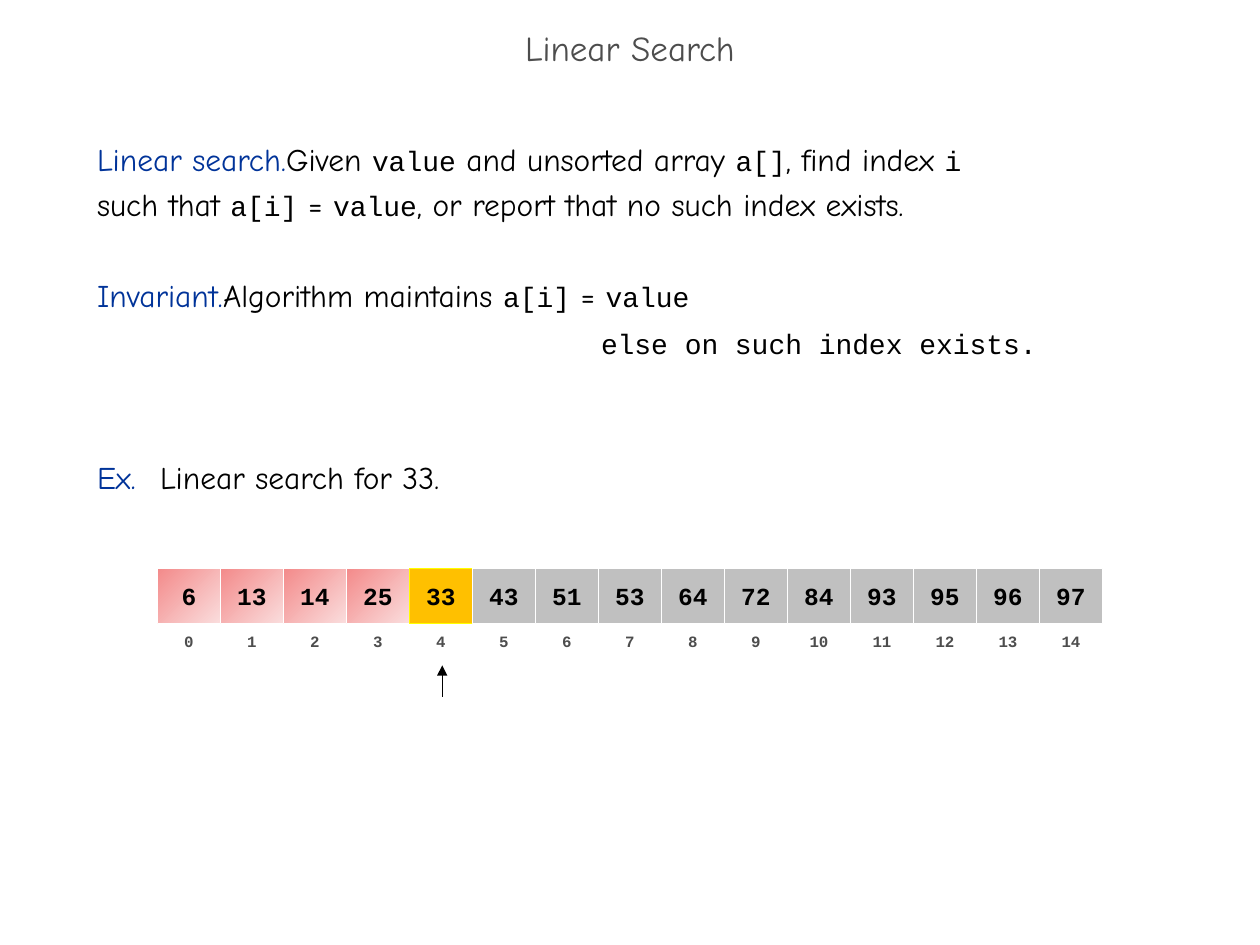
from dataclasses import dataclass

from lxml import etree
from pptx import Presentation
from pptx import util as u
from pptx.dml.color import RGBColor
from pptx.enum import shapes, text
from pptx.oxml import ns


@dataclass(frozen=True)
class Theme:
    text_font: str = "Comic Neue"
    code_font: str = "Courier New"
    black: str = "000000"
    white: str = "FFFFFF"
    grey: str = "4D4D4D"
    blue: str = "003399"
    cell: str = "C0C0C0"
    found: str = "FFC000"
    found_line: str = "FFFF00"
    visited: tuple = ("F38A8A", "FADDDD")
    title_size: int = 20
    body_size: int = 18
    code_size: int = 16
    cell_size: int = 14
    index_size: int = 9
    leading: int = 26
    line_width: float = 0.75


def rgb(value):
    return RGBColor.from_string(value)


def style_run(r, font, size, color, bold=False):
    r.font.name, r.font.size, r.font.bold = font, u.Pt(size), bold
    r.font.color.rgb = rgb(color)


def place(sp, left, top, width, height):
    sp.left, sp.top = u.Inches(left), u.Inches(top)
    sp.width, sp.height = u.Inches(width), u.Inches(height)


class SlideBuilder:
    def __init__(self, slide, theme):
        self.s, self.t = slide, theme
        self.body_tf = None

    def title(self, words, *box):
        sp = self.s.shapes.title
        place(sp, *box)
        tf = sp.text_frame
        tf.text = words
        tf.vertical_anchor = text.MSO_ANCHOR.MIDDLE
        p = tf.paragraphs[0]
        p.alignment, p.line_spacing = text.PP_ALIGN.CENTER, 0.7
        style_run(p.runs[0], self.t.text_font, self.t.title_size, self.t.grey)

    def body(self, *box):
        sp = self.s.placeholders[1]
        place(sp, *box)
        self.body_tf = sp.text_frame
        self.body_tf.auto_size = text.MSO_AUTO_SIZE.NONE

    def paragraph(self, lines, label="", tab=0, indent=0, lines_before=0):
        """Add a body paragraph; odd pieces of each line are set as code."""
        t, tf = self.t, self.body_tf
        p = tf.paragraphs[0] if not tf.text else tf.add_paragraph()
        p.line_spacing = u.Pt(t.leading)
        p.space_before = u.Pt(t.leading * lines_before)
        pPr = p._p.get_or_add_pPr()
        pPr.set("marL", str(u.Inches(indent)))
        pPr.set("indent", "0")
        etree.SubElement(pPr, ns.qn("a:buNone"))
        if label:
            stops = etree.SubElement(pPr, ns.qn("a:tabLst"))
            etree.SubElement(stops, ns.qn("a:tab"), pos=str(u.Inches(tab)), algn="l")
            r = p.add_run()
            r.text = label + "\t"
            style_run(r, t.text_font, t.body_size, t.blue)
        for number, line in enumerate(lines):
            if number:
                p.add_line_break()
            for i, piece in enumerate(line):
                if piece:
                    r = p.add_run()
                    r.text = piece
                    font, size = ((t.code_font, t.code_size) if i % 2
                                  else (t.text_font, t.body_size))
                    style_run(r, font, size, t.black)

    def box(self, group, words, bounds, size, color, fill=None, line=None):
        """Add a boxed number; a pair of fill colours makes a gradient."""
        sp = group.shapes.add_shape(shapes.MSO_SHAPE.RECTANGLE,
                                    *map(u.Inches, bounds))
        sp.shadow.inherit = False
        if fill is None:
            sp.fill.background()
        elif isinstance(fill, tuple):
            sp.fill.gradient()
            sp.fill.gradient_angle = 315
            for stop, value in zip(sp.fill.gradient_stops, fill):
                stop.color.rgb = rgb(value)
        else:
            sp.fill.solid()
            sp.fill.fore_color.rgb = rgb(fill)
        sp.line.color.rgb = rgb(line or self.t.white)
        sp.line.width = u.Pt(self.t.line_width)
        tf = sp.text_frame
        tf.text, tf.word_wrap = words, False
        tf.vertical_anchor = text.MSO_ANCHOR.MIDDLE
        p = tf.paragraphs[0]
        p.alignment = text.PP_ALIGN.CENTER
        style_run(p.runs[0], self.t.code_font, size, color, bold=True)

    def array(self, values, found, left, top, width):
        t = self.t
        group = self.s.shapes.add_group_shape()
        for i, value in enumerate(values):
            x = left + i * width
            fill = t.visited if i < found else t.found if i == found else t.cell
            line = t.found_line if i == found else t.white
            self.box(group, str(i), (x, top + 0.48, width, 0.2),
                     t.index_size, t.grey)
            self.box(group, str(value), (x, top, width, 0.44),
                     t.cell_size, t.black, fill, line)

    def arrow(self, *ends):
        c = self.s.shapes.add_connector(shapes.MSO_CONNECTOR.STRAIGHT,
                                        *map(u.Inches, ends))
        c.line.color.rgb = rgb(self.t.black)
        c.line.width = u.Pt(self.t.line_width)
        etree.SubElement(c.line._get_or_add_ln(), ns.qn("a:tailEnd"), type="triangle")
        etree.SubElement(c._element.spPr, ns.qn("a:effectLst"))


def main():
    prs = Presentation()
    prs.slide_width, prs.slide_height = u.Inches(10), u.Inches(7.5)
    b = SlideBuilder(prs.slides.add_slide(prs.slide_layouts[1]), Theme())

    b.title("Linear Search", 0, 0.17, 10, 0.5)
    b.body(0.67, 1, 8.58, 5.92)
    b.paragraph([("Given ", "value", " and unsorted array ", "a[]",
                  ", find index ", "i"),
                 ("such that ", "a[i]", " = ", "value",
                  ", or report that no such index exists.")],
                label="Linear search.", tab=1.74)
    b.paragraph([("Algorithm maintains ", "a[i]", " = ", "value")],
                label="Invariant.", tab=1.17, lines_before=1)
    b.paragraph([("", "else on such index exists.")], indent=4)
    b.paragraph([("Linear search for 33.",)],
                label="Ex.", tab=0.46, lines_before=2)

    values = [6, 13, 14, 25, 33, 43, 51, 53, 64, 72, 84, 93, 95, 96, 97]
    b.array(values, values.index(33), left=1.25, top=4.51, width=0.5)
    b.arrow(3.51, 5.53, 3.51, 5.28)
    prs.save("out.pptx")


if __name__ == "__main__":
    main()
